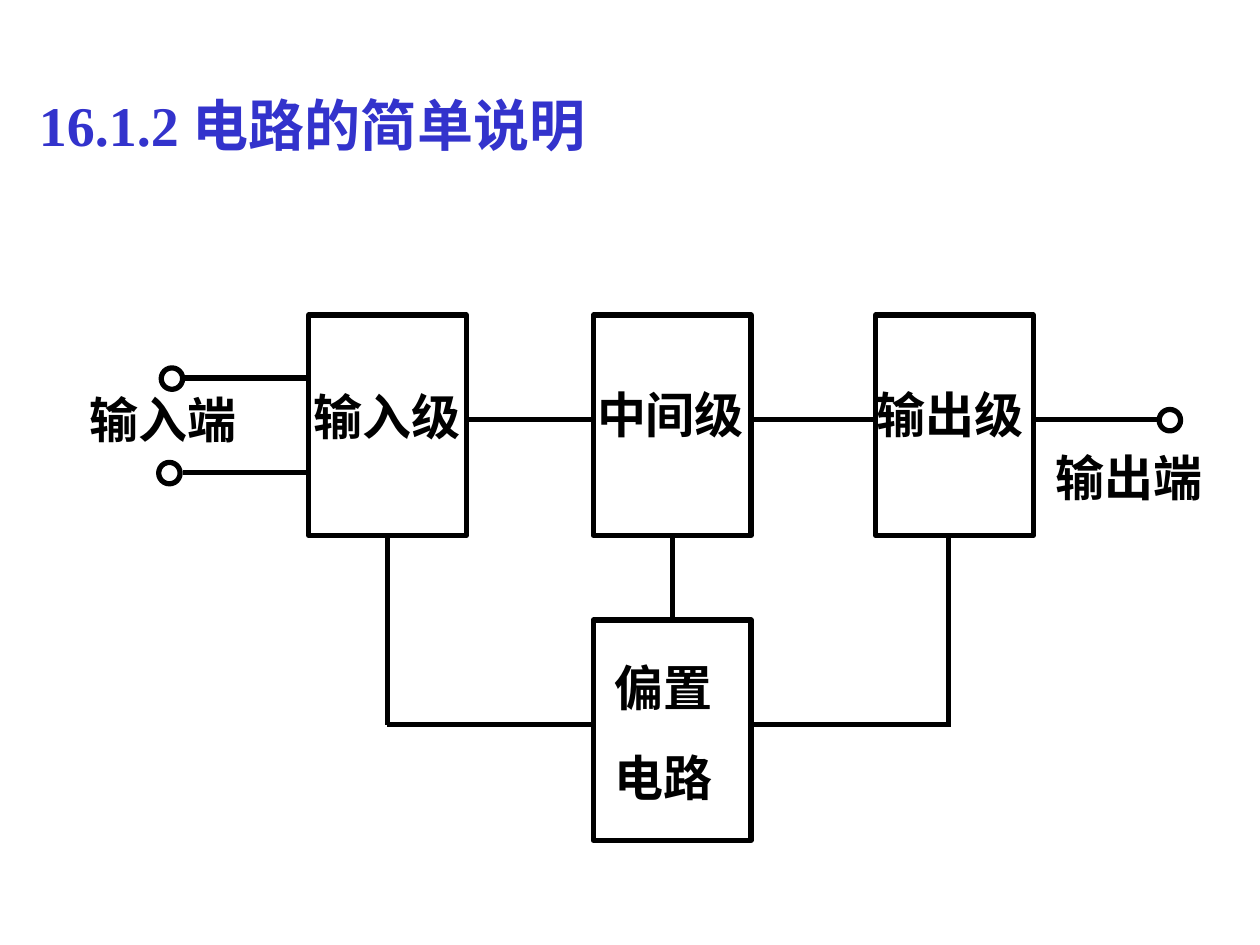
from typing import NamedTuple

import pptx
import pptx.dml.color
import pptx.enum.shapes
import pptx.enum.text
import pptx.oxml.ns
import pptx.util
from lxml import etree

Inches = pptx.util.Inches
Pt = pptx.util.Pt
Kind = pptx.enum.shapes.MSO_SHAPE

HEX = {"ink": "000000", "title": "3333CC"}
FONT = "Times New Roman"
WIDE, TALL, TOP = 1.25, 1.75, 2.5
BASE = TOP + TALL
RING = 0.17
FLOW, BUS = 3.33, 5.75


class Block(NamedTuple):
    left: float
    top: float


class Wire(NamedTuple):
    x1: float
    y1: float
    x2: float
    y2: float


class Label(NamedTuple):
    text: str
    left: float
    top: float
    width: float = 2.08
    height: float = 0.57
    size: int = 28
    tint: str = "ink"
    gap: float = 17.5


def color(name: str) -> pptx.dml.color.RGBColor:
    return pptx.dml.color.RGBColor.from_string(HEX[name])


def stroke(line) -> None:
    line.color.rgb = color("ink")
    line.width = Pt(3)


def draw_shape(slide, kind, at: Block, width: float, height: float):
    shape = slide.shapes.add_shape(
        kind, Inches(at.left), Inches(at.top), Inches(width), Inches(height))
    shape.shadow.inherit = False
    shape.fill.background()
    stroke(shape.line)
    return shape


def draw_wire(slide, wire: Wire):
    line = slide.shapes.add_connector(
        pptx.enum.shapes.MSO_CONNECTOR.STRAIGHT, *map(Inches, wire))
    stroke(line.line)
    props = line._element.spPr
    etree.SubElement(props, pptx.oxml.ns.qn("a:effectLst"))
    return line


def draw_label(slide, label: Label) -> None:
    box = slide.shapes.add_textbox(
        Inches(label.left), Inches(label.top),
        Inches(label.width), Inches(label.height))
    frame = box.text_frame
    frame.word_wrap = True
    frame.auto_size = pptx.enum.text.MSO_AUTO_SIZE.SHAPE_TO_FIT_TEXT
    frame.text = label.text
    for row, para in enumerate(frame.paragraphs):
        if row:
            para.space_before = Pt(label.gap)
        para.font.name = FONT
        para.font.size = Pt(label.size)
        para.font.bold = True
        para.font.color.rgb = color(label.tint)


BLOCKS = {
    "input": Block(2.45, TOP),
    "middle": Block(4.71, TOP),
    "output": Block(6.95, TOP),
    "bias": Block(4.71, 4.92),
}

WIRES = [
    Wire(3.7, FLOW, 4.71, FLOW),
    Wire(5.96, FLOW, 6.95, FLOW),
    Wire(8.2, FLOW, 9.2, FLOW),
    Wire(1.47, 3, 2.45, 3),
    Wire(1.45, 3.75, 2.45, 3.75),
    Wire(3.07, BUS, 4.71, BUS),
    Wire(5.96, BUS, 7.55, BUS),
    Wire(7.53, BASE, 7.53, BUS),
]

RINGS = [Block(1.28, 2.92), Block(1.26, 3.67), Block(9.2, 3.25)]

LABELS = [
    Label("16.1.2 电路的简单说明", 0.21, 0.67, 7.2, 0.64, 32, "title"),
    Label("输入端", 0.61, 3.04),
    Label("输入级", 2.39, 3.02),
    Label("中间级", 4.64, 3),
    Label("输出级", 6.86, 3),
    Label("偏置\n电路", 4.78, 5.17, 1, 1.28),
    Label("输出端", 8.28, 3.5),
]


def main() -> None:
    deck = pptx.Presentation()
    deck.slide_width, deck.slide_height = Inches(10), Inches(7.5)
    slide = deck.slides.add_slide(deck.slide_layouts[6])
    boxes = {name: draw_shape(slide, Kind.RECTANGLE, at, WIDE, TALL)
             for name, at in BLOCKS.items()}
    for wire in WIRES:
        draw_wire(slide, wire)
    drop = draw_wire(slide, Wire(5.33, BASE, 5.33, 4.92))
    drop.begin_connect(boxes["middle"], 2)
    drop.end_connect(boxes["bias"], 0)
    side = draw_wire(slide, Wire(3.075, BASE, 3.075, BUS))
    side.begin_connect(boxes["input"], 2)
    for at in RINGS:
        draw_shape(slide, Kind.OVAL, at, RING, RING)
    for label in LABELS:
        draw_label(slide, label)
    deck.save("out.pptx")


if __name__ == "__main__":
    main()
